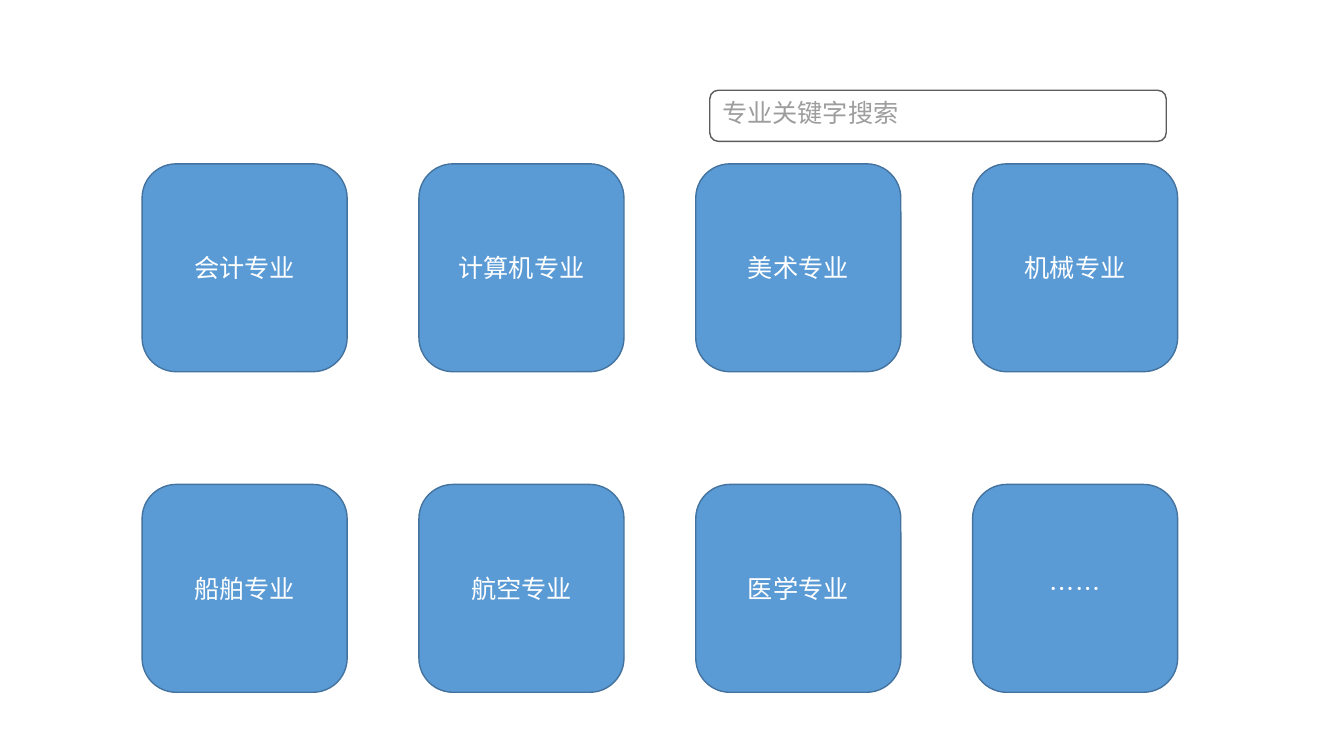
from dataclasses import dataclass

from lxml.etree import SubElement
from pptx import Presentation
from pptx.dml.color import RGBColor
from pptx.enum.shapes import MSO_SHAPE
from pptx.enum.text import MSO_ANCHOR, PP_ALIGN
from pptx.oxml.ns import qn
from pptx.util import Pt


@dataclass(frozen=True)
class Theme:
    font: str = "Noto Sans CJK SC"
    text_size: float = 18
    line_width: float = 1
    white: str = "FFFFFF"
    tile_fill: str = "5B9BD5"
    tile_line: str = "43739E"
    search_line: str = "5C5C5C"
    search_text: str = "9D9D9D"


class PageBuilder:
    def __init__(self, page, theme):
        self.page = page
        self.theme = theme

    def rounded_box(self, left, top, width, height, text, fill, line, color, align, anchor):
        box = self.page.shapes.add_shape(
            MSO_SHAPE.ROUNDED_RECTANGLE, Pt(left), Pt(top), Pt(width), Pt(height)
        )
        box.shadow.inherit = False
        box.fill.solid()
        box.fill.fore_color.rgb = RGBColor.from_string(fill)
        box.line.color.rgb = RGBColor.from_string(line)
        box.line.width = Pt(self.theme.line_width)
        frame = box.text_frame
        frame.word_wrap = True
        frame.vertical_anchor = anchor
        para = frame.paragraphs[0]
        para.text = text
        para.alignment = align
        self.style(para, color)

    def style(self, para, color):
        para.font.name = self.theme.font
        para.font.size = Pt(self.theme.text_size)
        para.font.color.rgb = RGBColor.from_string(color)
        properties = para._p.pPr.find(qn("a:defRPr"))
        SubElement(properties, qn("a:ea"), typeface=self.theme.font)

    def tile(self, left, top, width, height, text):
        theme = self.theme
        self.rounded_box(left, top, width, height, text, theme.tile_fill, theme.tile_line,
                         theme.white, PP_ALIGN.CENTER, MSO_ANCHOR.MIDDLE)

    def search_field(self, left, top, width, height, text):
        theme = self.theme
        self.rounded_box(left, top, width, height, text, theme.white, theme.search_line,
                         theme.search_text, PP_ALIGN.LEFT, MSO_ANCHOR.TOP)


MAJORS = [
    ["会计专业", "计算机专业", "美术专业", "机械专业"],
    ["船舶专业", "航空专业", "医学专业", "……"],
]
GRID_LEFT, GRID_TOP = 101.5, 117
COLUMN_STEP, ROW_STEP = 197.75, 229
TILE_WIDTH, TILE_HEIGHT = 146.5, 148.5


def main():
    deck = Presentation()
    deck.slide_width, deck.slide_height = Pt(960), Pt(540)
    blank_layout = deck.slide_layouts.get_by_name("Blank")
    builder = PageBuilder(deck.slides.add_slide(blank_layout), Theme())

    for row, majors in enumerate(MAJORS):
        for column, major in enumerate(majors):
            builder.tile(GRID_LEFT + column * COLUMN_STEP, GRID_TOP + row * ROW_STEP,
                         TILE_WIDTH, TILE_HEIGHT, major)
    builder.search_field(507, 64.5, 326, 36.5, "专业关键字搜索")

    deck.save("out.pptx")


if __name__ == "__main__":
    main()
